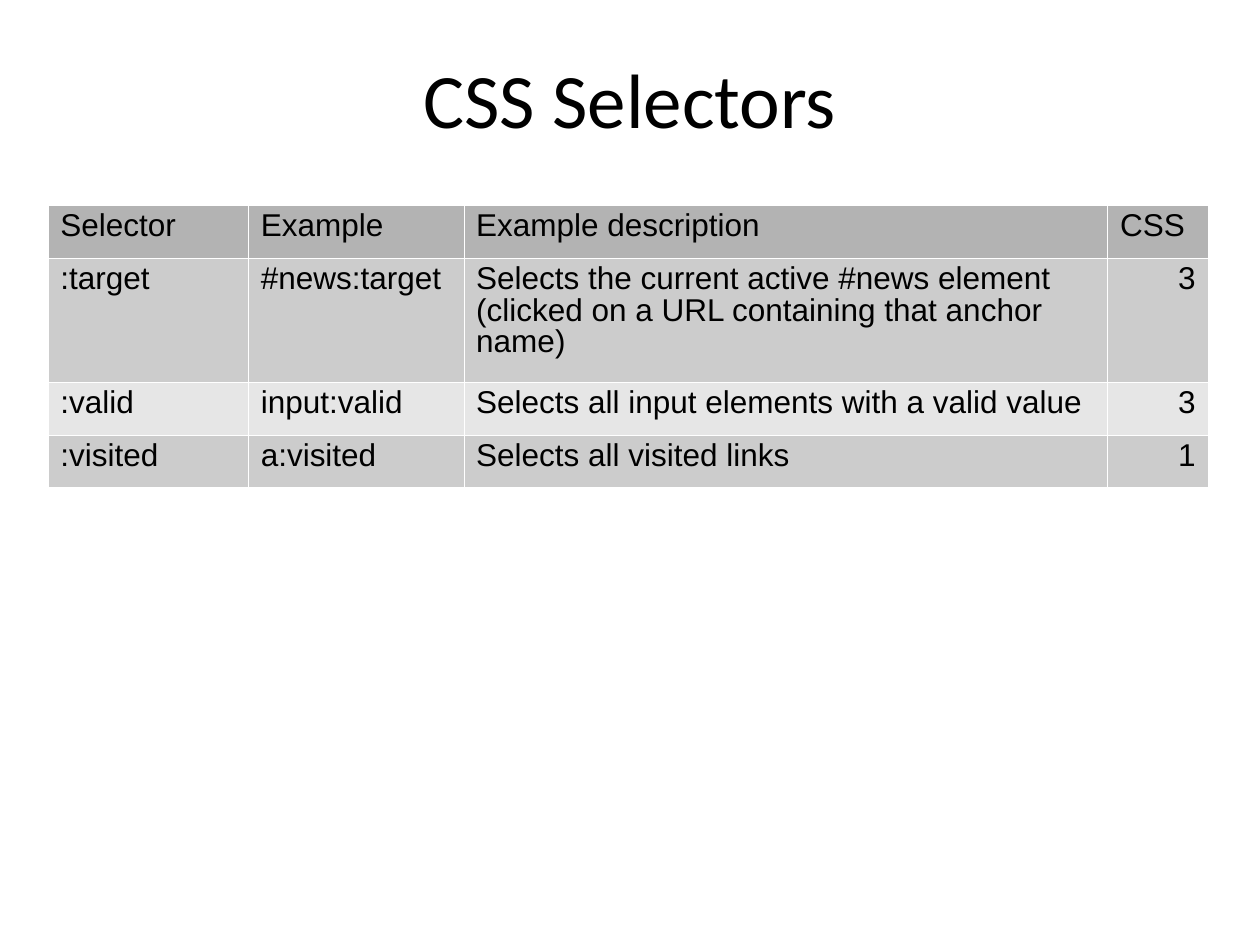
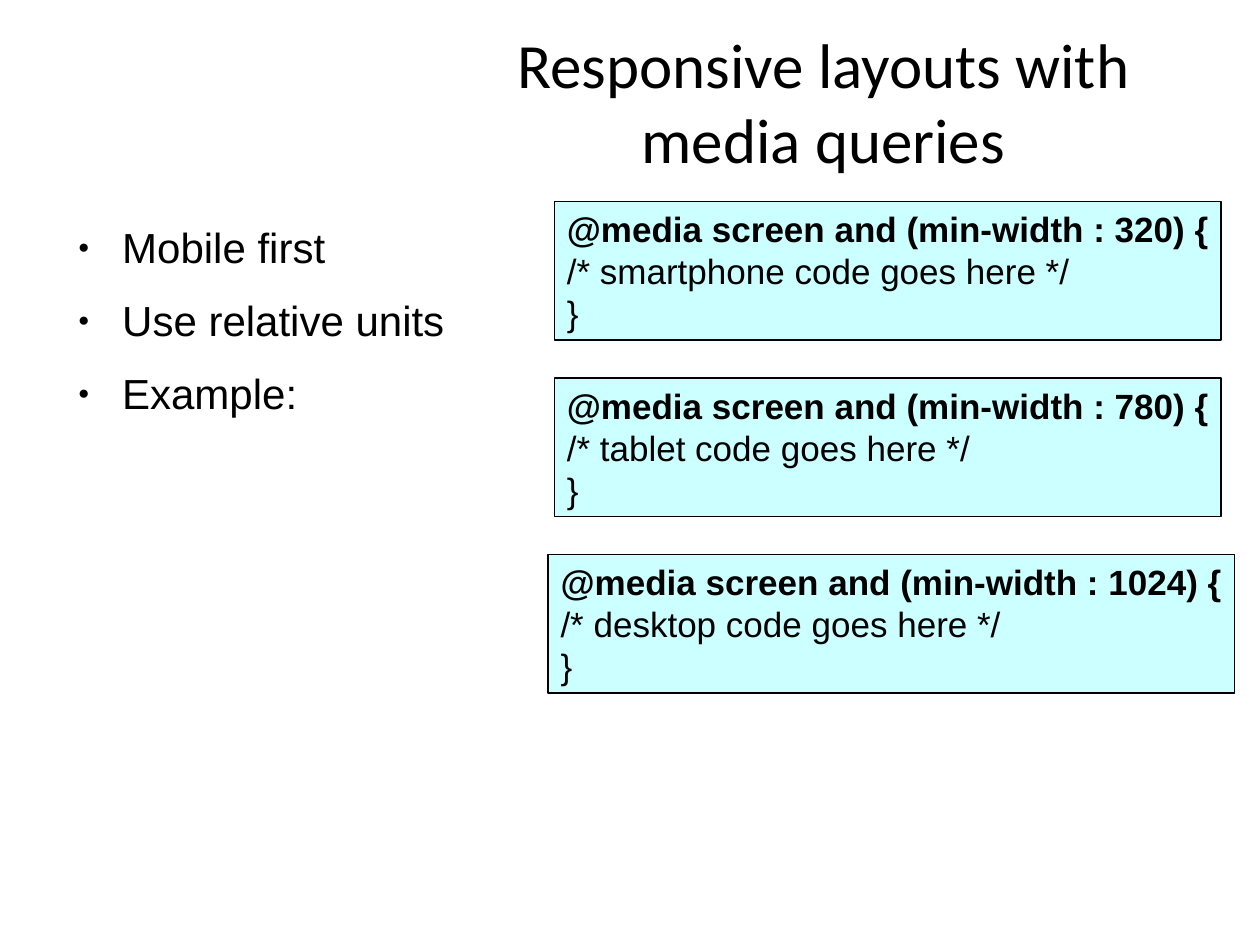
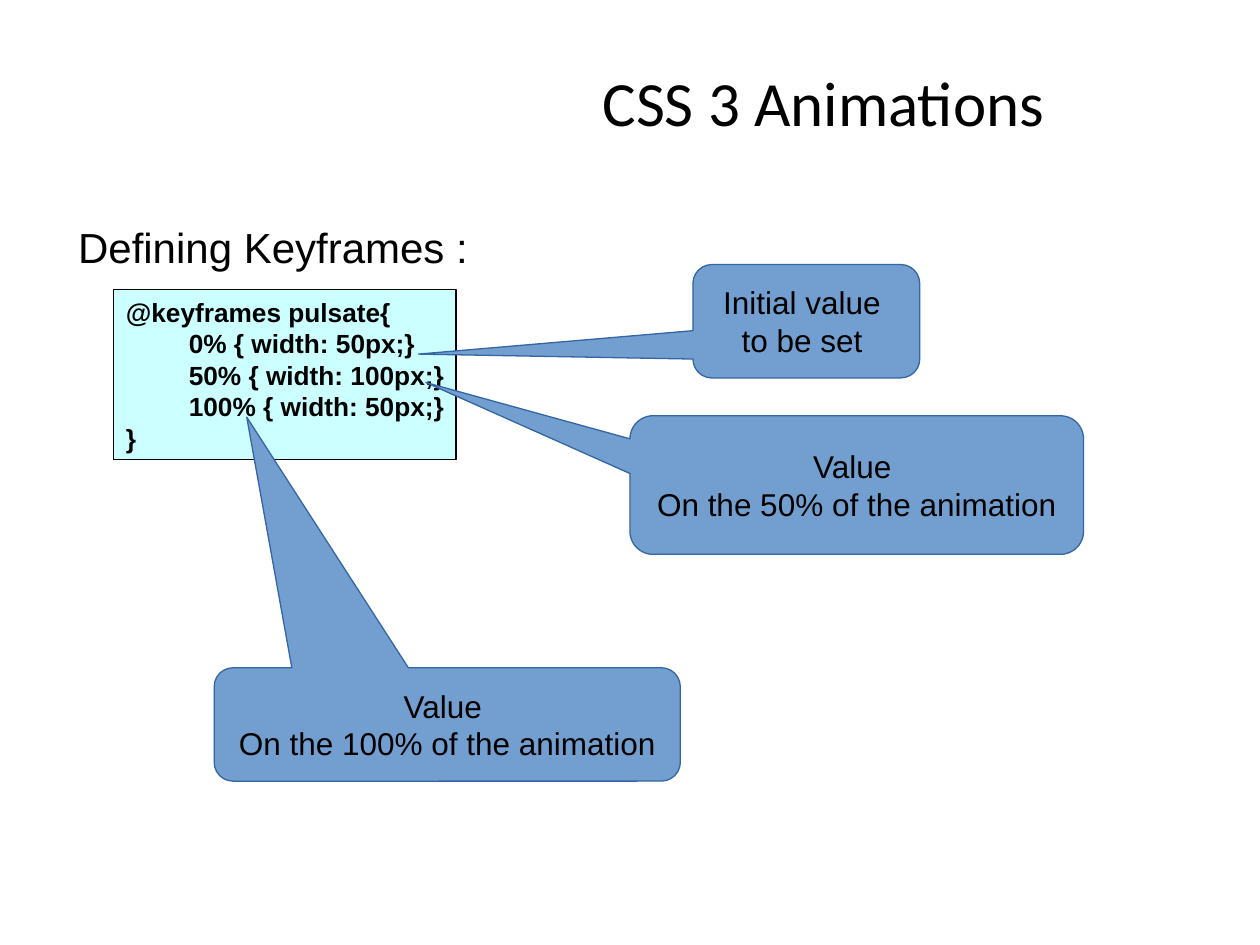
from lxml import etree
from pptx import Presentation
from pptx.dml.color import RGBColor
from pptx.enum.shapes import MSO_SHAPE
from pptx.enum.text import MSO_ANCHOR, MSO_AUTO_SIZE, PP_ALIGN
from pptx.oxml.ns import qn
from pptx.util import Inches, Pt

RECTANGLE = MSO_SHAPE.RECTANGLE
CALLOUT = MSO_SHAPE.ROUNDED_RECTANGULAR_CALLOUT
LEFT, CENTER, RIGHT = PP_ALIGN.LEFT, PP_ALIGN.CENTER, PP_ALIGN.RIGHT
TOP, MIDDLE = MSO_ANCHOR.TOP, MSO_ANCHOR.MIDDLE
NO_FIT = MSO_AUTO_SIZE.NONE
TITLE_ONLY = 5

# Shared style
BLACK, WHITE = "000000", "FFFFFF"
CODE_FILL = "CCFFFF"
CALLOUT_FILL, CALLOUT_LINE = "729FCF", "3465A4"
HEADER_FILL, BAND_FILLS = "B3B3B3", ("CCCCCC", "E6E6E6")
TITLE_FONT, BODY_FONT = "Calibri", "Arial"
PADDING = (0.1, 0.05)
BODY_BOX = (0.5, 1.76, 9, 5.57)
SIDE_TITLE_LEFT, SIDE_TITLE_WIDTH = 3.57, 5.93


def color(value):
    return RGBColor.from_string(value)


def inches(box):
    return [Inches(length) for length in box]


def set_frame(frame, padding=(0, 0), anchor=TOP, wrap=True):
    frame.margin_left = frame.margin_right = Inches(padding[0])
    frame.margin_top = frame.margin_bottom = Inches(padding[1])
    frame.vertical_anchor = anchor
    frame.word_wrap = wrap
    frame.auto_size = NO_FIT


def set_indent(paragraph, left, first=0):
    properties = paragraph._p.get_or_add_pPr()
    properties.set("marL", str(Inches(left)))
    properties.set("indent", str(Inches(first)))


def add_bullet(paragraph):
    properties = paragraph._p.get_or_add_pPr()
    etree.SubElement(properties, qn("a:buSzPct"), val="45000")
    etree.SubElement(properties, qn("a:buFont"), typeface=BODY_FONT)
    etree.SubElement(properties, qn("a:buChar"), char="●")


def write(frame, lines, size=18, font=BODY_FONT, bold=False, align=LEFT,
          spacing=None, after=None):
    """Fill a text frame, one paragraph a line, and return the paragraphs."""
    for number, line in enumerate(lines):
        paragraph = frame.add_paragraph() if number else frame.paragraphs[0]
        paragraph.alignment = align
        if spacing is not None:
            paragraph.line_spacing = spacing
        if after is not None:
            paragraph.space_after = Pt(after)
        run = paragraph.add_run()
        run.text = line
        run.font.name = font
        run.font.size = Pt(size)
        run.font.bold = bold
        run.font.color.rgb = color(BLACK)
    return frame.paragraphs


def add_titled_slide(presentation, title, box, size):
    slide = presentation.slides.add_slide(presentation.slide_layouts[TITLE_ONLY])
    shape = slide.shapes.title
    shape.left, shape.top, shape.width, shape.height = inches(box)
    set_frame(shape.text_frame, anchor=MIDDLE)
    write(shape.text_frame, [title], size=size, font=TITLE_FONT, align=CENTER)
    return slide


def add_body(slide, box, lines, bullets=False):
    frame = slide.shapes.add_textbox(*inches(box)).text_frame
    set_frame(frame)
    for paragraph in write(frame, lines, size=24, after=12.9):
        set_indent(paragraph, 0.47, -0.35)
        if bullets:
            add_bullet(paragraph)


def add_box(slide, kind, box, fill, line):
    shape = slide.shapes.add_shape(kind, *inches(box))
    shape.shadow.inherit = False
    shape.fill.solid()
    shape.fill.fore_color.rgb = color(fill)
    shape.line.color.rgb = color(line)
    shape.line.width = Pt(0.75)
    return shape


def add_code(slide, box, lines, size):
    frame = add_box(slide, RECTANGLE, box, CODE_FILL, BLACK).text_frame
    set_frame(frame, PADDING)
    frame.margin_right = 0  # leaves the longest line room to stay whole
    return write(frame, lines, size=size, bold=True)


def add_callout(slide, box, pointer, lines):
    shape = add_box(slide, CALLOUT, box, CALLOUT_FILL, CALLOUT_LINE)
    shape.adjustments[0], shape.adjustments[1] = pointer
    set_frame(shape.text_frame, PADDING, anchor=MIDDLE, wrap=False)
    write(shape.text_frame, lines, align=CENTER)


def style_cell(cell, fill):
    properties = cell._tc.get_or_add_tcPr()
    for side in ("a:lnL", "a:lnR", "a:lnT", "a:lnB"):
        border = etree.SubElement(properties, qn(side), w=str(Pt(0.06)))
        paint = etree.SubElement(border, qn("a:solidFill"))
        etree.SubElement(paint, qn("a:srgbClr"), val=WHITE)
    cell.fill.solid()
    cell.fill.fore_color.rgb = color(fill)
    cell.margin_left = cell.margin_right = Inches(PADDING[0])
    cell.margin_top = cell.margin_bottom = Inches(PADDING[1])


def add_selector_table(slide, left, top, widths, heights, rows):
    box = (left, top, sum(widths), sum(heights))
    table = slide.shapes.add_table(len(rows), len(widths), *inches(box)).table
    table.horz_banding = False
    for column, width in zip(table.columns, widths):
        column.width = Inches(width)
    for number, (row, height, texts) in enumerate(zip(table.rows, heights, rows)):
        row.height = Inches(height)
        fill = BAND_FILLS[(number - 1) % 2] if number else HEADER_FILL
        for cell, text in zip(row.cells, texts):
            style_cell(cell, fill)
            write(cell.text_frame, [text], spacing=0.89,
                  align=RIGHT if text.isdigit() else LEFT)


def build_selectors(presentation):
    slide = add_titled_slide(presentation, "CSS Selectors", (0.5, 0.15, 9, 1.25), 44)
    add_selector_table(slide, 0.38, 1.63, (1.59, 1.71, 5.11, 0.8), (0.42, 0.98, 0.42, 0.42), [
        ("Selector", "Example", "Example description", "CSS"),
        (":target", "#news:target", "Selects the current active #news element "
         "(clicked on a URL containing that anchor name)", "3"),
        (":valid", "input:valid", "Selects all input elements with a valid value", "3"),
        (":visited", "a:visited", "Selects all visited links", "1"),
    ])


def build_media_queries(presentation):
    slide = add_titled_slide(presentation, "Responsive layouts with media queries",
                             (SIDE_TITLE_LEFT, 0.2, SIDE_TITLE_WIDTH, 1.2), 36)
    add_body(slide, BODY_BOX, ["Mobile first", "Use relative units", "Example:"], bullets=True)
    # One code box for each breakpoint
    breakpoints = [(320, "smartphone", 4.4, 5.29), (780, "tablet", 4.4, 5.29),
                   (1024, "desktop", 4.35, 5.45)]
    for number, (pixels, device, left, width) in enumerate(breakpoints):
        paragraphs = add_code(slide, (left, 1.6 + 1.4 * number, width, 1.1), [
            f"@media screen and (min-width : {pixels}) {{",
            f"/* {device} code goes here */",
            "}",
        ], size=20)
        for paragraph in paragraphs[1:]:
            paragraph.runs[0].font.bold = False


def build_animations(presentation):
    slide = add_titled_slide(presentation, "CSS 3 Animations",
                             (SIDE_TITLE_LEFT, 0.5, SIDE_TITLE_WIDTH, 0.6), 36)
    add_body(slide, BODY_BOX, ["Defining Keyframes :"])
    # Keyframe code, its steps indented
    paragraphs = add_code(slide, (0.9, 2.3, 2.72, 1.35), [
        "@keyframes pulsate{", "0% { width: 50px;}", "50% { width: 100px;}",
        "100% { width: 50px;}", "}",
    ], size=15)
    for paragraph in paragraphs[1:-1]:
        set_indent(paragraph, 0.5)
    # Callouts pointing at the steps
    add_callout(slide, (5.5, 2.1, 1.8, 0.9), (-1.71, 0.29), ["Initial value ", "to be set "])
    add_callout(slide, (5, 3.3, 3.6, 1.1), (-0.95, -0.74),
                ["Value ", "On the 50% of the animation"])
    add_callout(slide, (1.7, 5.3, 3.7, 0.9), (-0.43, -2.71),
                ["Value ", "On the 100% of the animation"])


def main():
    presentation = Presentation()
    presentation.slide_width, presentation.slide_height = Inches(10), Inches(7.5)
    build_selectors(presentation)
    build_media_queries(presentation)
    build_animations(presentation)
    presentation.save("out.pptx")


if __name__ == "__main__":
    main()
